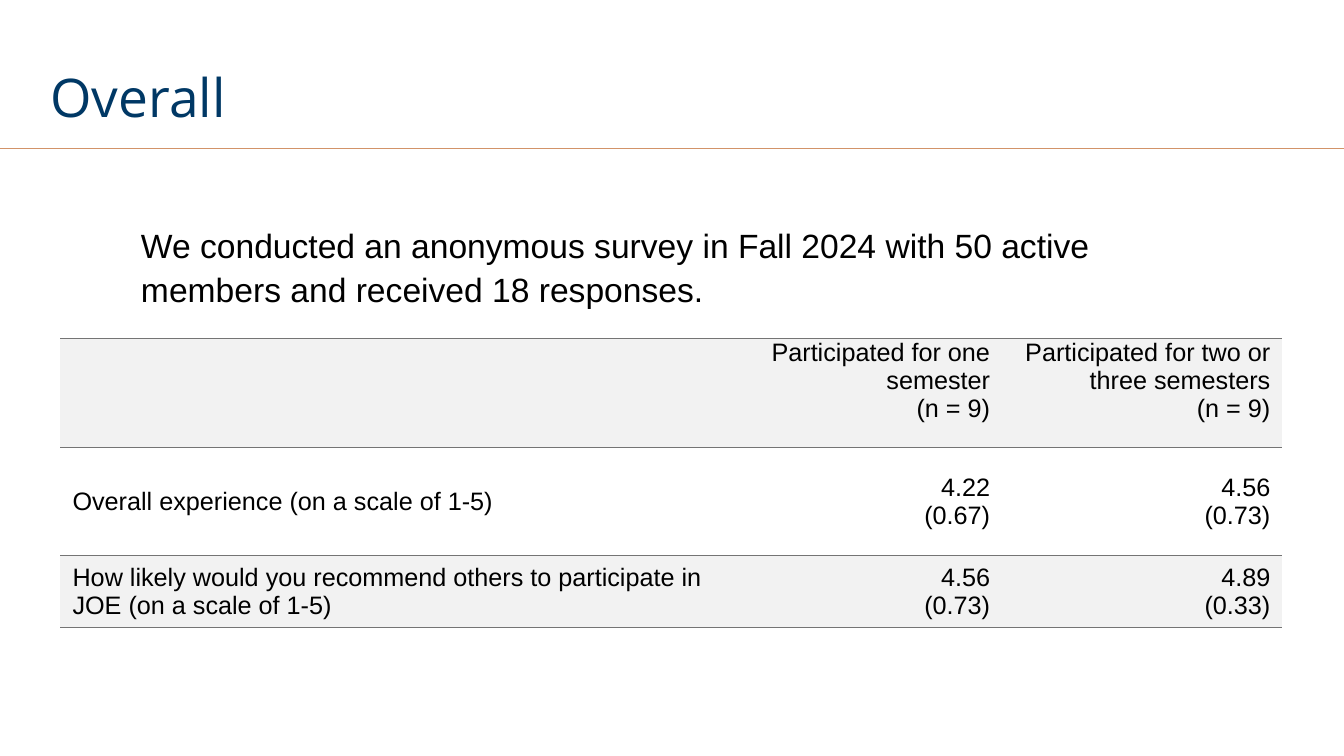
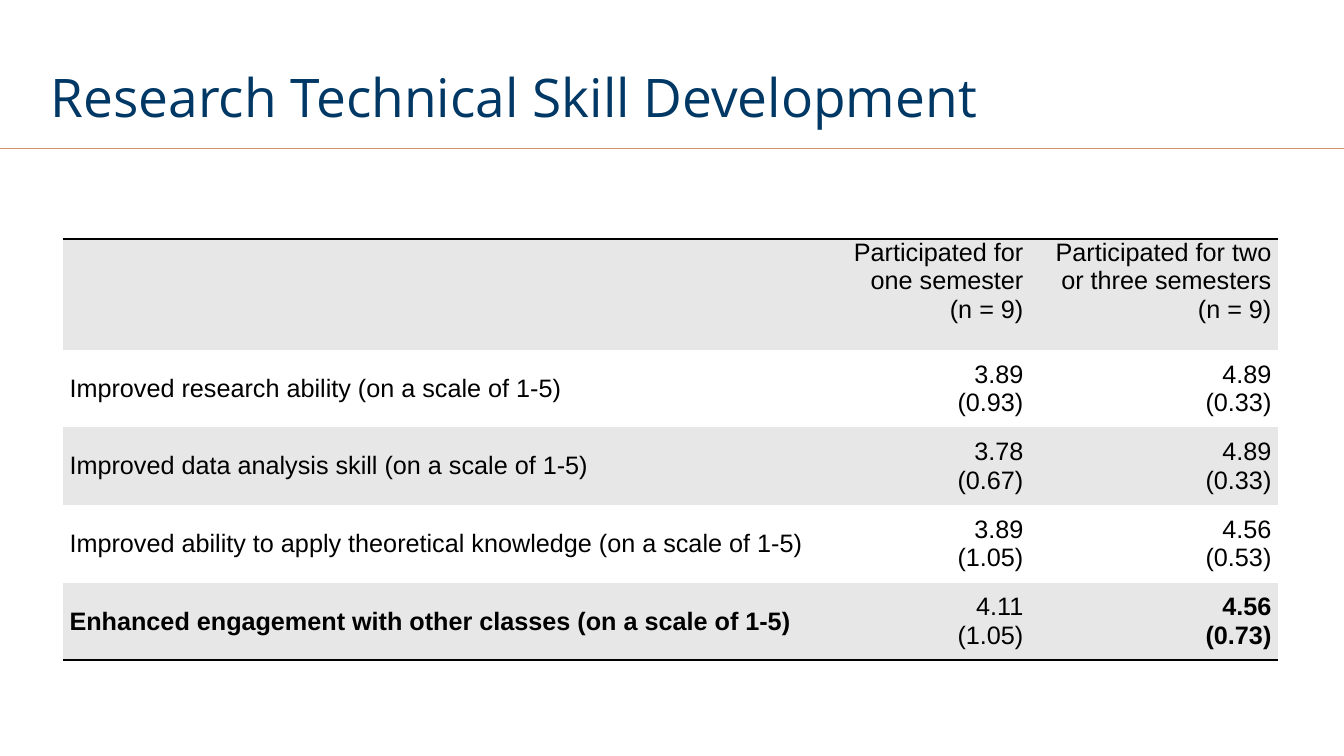
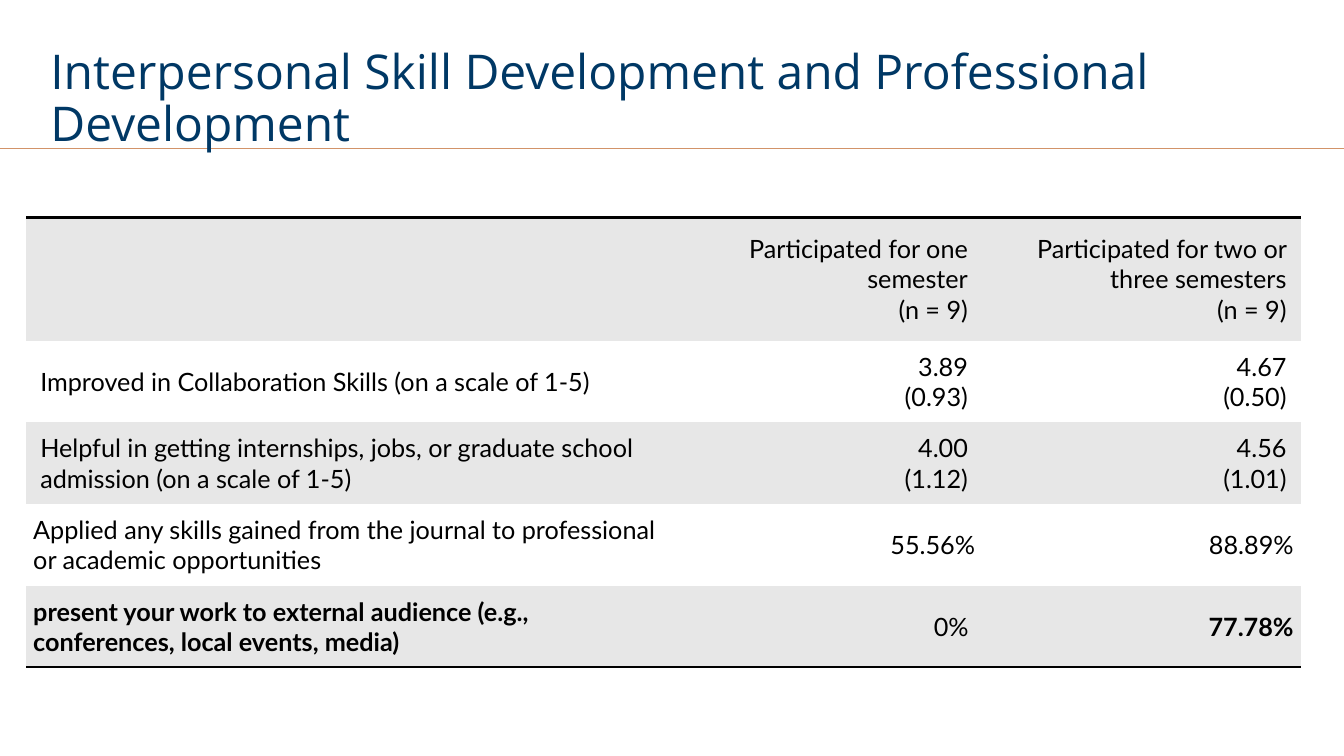
from lxml import etree
from pptx import Presentation
from pptx.dml.color import RGBColor
from pptx.enum.shapes import MSO_CONNECTOR
from pptx.enum.text import MSO_ANCHOR, MSO_AUTO_SIZE, PP_ALIGN
from pptx.oxml.ns import qn
from pptx.util import Inches, Pt

STRAIGHT = MSO_CONNECTOR.STRAIGHT
TOP, MIDDLE = MSO_ANCHOR.TOP, MSO_ANCHOR.MIDDLE
LEFT, RIGHT = PP_ALIGN.LEFT, PP_ALIGN.RIGHT
NO_FIT = MSO_AUTO_SIZE.NONE

COLORS = {
    "title": "003865", "rule": "D29369", "text": "000000", "white": "FFFFFF",
    "pale": "F2F2F2", "band": "E7E7E7", "grey_line": "747474", "black_line": "000000",
}
WIDTH, HEIGHT = 13.33, 7.5
TITLE_BOX = (0, 0.52, WIDTH, 0.95)
RULE_Y = 1.47
PLAIN_TABLE = "{2D5ABB26-0587-4C30-8999-92F81FD0307C}"
HEADER = ("", "Participated for one semester\n(n = 9)",
          "Participated for two or three semesters\n(n = 9)")


def rgb(name):
    """Return a palette colour."""
    return RGBColor.from_string(COLORS[name])


def set_attrs(obj, values):
    """Set each attribute of an object from a dict."""
    for name, value in values.items():
        setattr(obj, name, value)


def format_text(tf, font, size, color="text", bold=False, align=LEFT, spacing=None):
    """Format every paragraph and run of a text frame."""
    for p in tf.paragraphs:
        set_attrs(p, {"alignment": align, "line_spacing": spacing})
        for r in p.runs:
            set_attrs(r.font, {"name": font, "size": Pt(size), "bold": bold})
            r.font.color.rgb = rgb(color)


def add_rule(s):
    """Draw the thin line under the title, behind everything else."""
    line = s.shapes.add_connector(STRAIGHT, 0, Inches(RULE_Y), Inches(WIDTH), Inches(RULE_Y))
    line.line.width = Pt(0.5)
    line.line.color.rgb = rgb("rule")
    etree.SubElement(line.element.spPr, qn("a:effectLst"))
    s.shapes.element.insert(2, line.element)


def add_titled_slide(prs, title, size=38):
    """Add a slide with the shared title style and rule."""
    s = prs.slides.add_slide(prs.slide_layouts[5])
    sp = s.shapes.title
    set_attrs(sp, dict(zip(("left", "top", "width", "height"), map(Inches, TITLE_BOX))))
    tf = sp.text_frame
    tf.text = title
    set_attrs(tf, {
        "word_wrap": True, "auto_size": NO_FIT, "vertical_anchor": MIDDLE,
        "margin_left": Inches(0.5), "margin_right": Inches(0.1),
        "margin_top": Inches(0.05), "margin_bottom": Inches(0.05),
    })
    format_text(tf, "Open Sans", size, "title", spacing=0.9)
    add_rule(s)
    return s


def add_note(s, box, text):
    """Add a wrapped paragraph of body text."""
    tf = s.shapes.add_textbox(*map(Inches, box)).text_frame
    tf.word_wrap = True
    tf.text = text
    format_text(tf, "Arial", 24, spacing=1.08)


def add_border(cell, tag, color, width):
    """Add one edge line to a table cell."""
    ln = etree.SubElement(cell._tc.get_or_add_tcPr(), qn(tag), w=str(Pt(width)))
    fill = etree.SubElement(ln, qn("a:solidFill"))
    etree.SubElement(fill, qn("a:srgbClr"), val=COLORS[color])


def add_survey_table(s, corner, widths, heights, rows, insets, font="Arial", band="band",
                     line=("black_line", 2), inner_lines=False, header_anchor=TOP, bold=()):
    """Add a banded survey table with its top left at the given corner."""
    rows = [HEADER, *rows]
    last = len(rows) - 1
    size = (sum(widths), sum(heights))
    frame = s.shapes.add_table(len(rows), len(widths), *map(Inches, (*corner, *size)))
    frame.element.find(".//" + qn("a:tableStyleId")).text = PLAIN_TABLE
    table = frame.table
    for column, width in zip(table.columns, widths):
        column.width = Inches(width)
    for i, (row, values) in enumerate(zip(table.rows, rows)):
        row.height = Inches(heights[i])
        for j, (cell, text) in enumerate(zip(row.cells, values)):
            cell.text = text
            set_attrs(cell, {
                "margin_left": Inches(insets[i]), "margin_right": Inches(insets[i]),
                "margin_top": 0, "margin_bottom": 0,
                "vertical_anchor": MIDDLE if i else header_anchor,
            })
            format_text(cell.text_frame, font, 18, bold=(i, j) in bold,
                        align=RIGHT if j else LEFT)
            if inner_lines or i == 0:
                add_border(cell, "a:lnT", *line)
            if inner_lines or i == last:
                add_border(cell, "a:lnB", *line)
            cell.fill.solid()
            cell.fill.fore_color.rgb = rgb("white" if i % 2 else band)


def overall_slide(prs):
    """Build the overall results slide."""
    s = add_titled_slide(prs, "Overall")
    rows = [
        ("Overall experience (on a scale of 1-5)", "4.22\v(0.67)", "4.56\v(0.73)"),
        ("How likely would you recommend others to participate in JOE (on a scale of 1-5)",
         "4.56\v(0.73)", "4.89\v(0.33)"),
    ]
    add_survey_table(s, (0.6, 3.36), (6.67, 2.67, 2.78), (1.08, 1.07, 0.72), rows,
                     [0.12] * 3, band="pale", line=("grey_line", 0.75), inner_lines=True)
    add_note(s, (1.3, 2.15, 10.38, 0.91),
             "We conducted an anonymous survey in Fall 2024 with 50 active members "
             "and received 18 responses.")


def technical_slide(prs):
    """Build the technical skills slide."""
    s = add_titled_slide(prs, "Research Technical Skill Development")
    rows = [
        ("Improved research ability (on a scale of 1-5)", "3.89\v(0.93)", "4.89\v(0.33)"),
        ("Improved data analysis skill (on a scale of 1-5)", "3.78\v(0.67)", "4.89\v(0.33)"),
        ("Improved ability to apply theoretical knowledge (on a scale of 1-5)",
         "3.89\v(1.05)", "4.56\v(0.53)"),
        ("Enhanced engagement with other classes (on a scale of 1-5)",
         "4.11\v(1.05)", "4.56\v(0.73)"),
    ]
    add_survey_table(s, (0.62, 2.37), (7.61, 1.99, 2.46), [1.1] + [0.77] * 4, rows,
                     [0.07] * 5, bold={(4, 0), (4, 2)})


def interpersonal_slide(prs):
    """Build the interpersonal and professional skills slide."""
    s = add_titled_slide(prs, "Interpersonal Skill Development and Professional Development", 34.2)
    rows = [
        ("Improved in Collaboration Skills (on a scale of 1-5)", "3.89\v(0.93)", "4.67\v(0.50)"),
        ("Helpful in getting internships, jobs, or graduate school admission "
         "(on a scale of 1-5)", "4.00\v(1.12)", "4.56\v(1.01)"),
        ("Applied any skills gained from the journal to professional or academic opportunities",
         "55.56%", "88.89%"),
        ("present your work to external audience (e.g., conferences, local events, media)",
         "0% ", "77.78%"),
    ]
    add_survey_table(s, (0.26, 2.16), (6.45, 3.03, 3.16), [1.22] + [0.81] * 4, rows,
                     [0.14] * 3 + [0.07] * 2, font="Lato", header_anchor=MIDDLE,
                     bold={(4, 0), (4, 2)})


def main():
    """Build and save the presentation."""
    prs = Presentation()
    set_attrs(prs, {"slide_width": Inches(WIDTH), "slide_height": Inches(HEIGHT)})
    for build in (overall_slide, technical_slide, interpersonal_slide):
        build(prs)
    prs.save("out.pptx")


if __name__ == "__main__":
    main()
